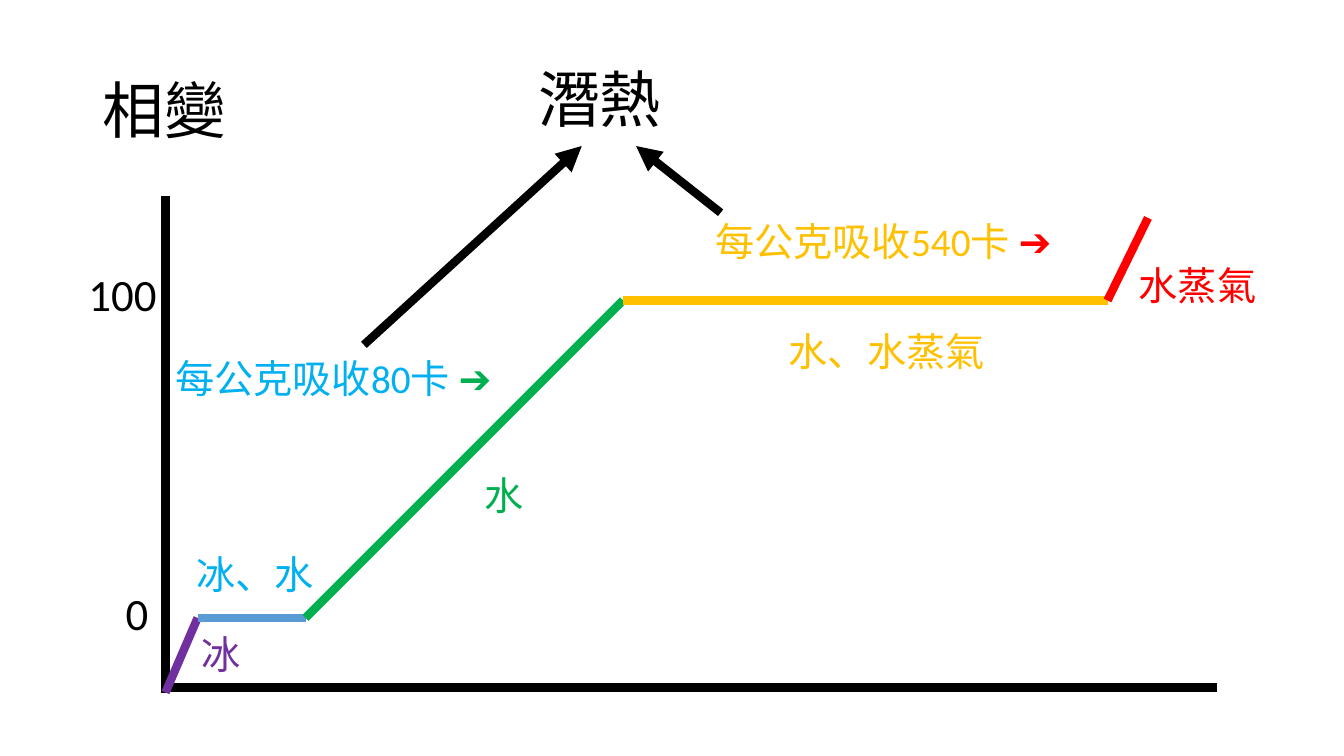
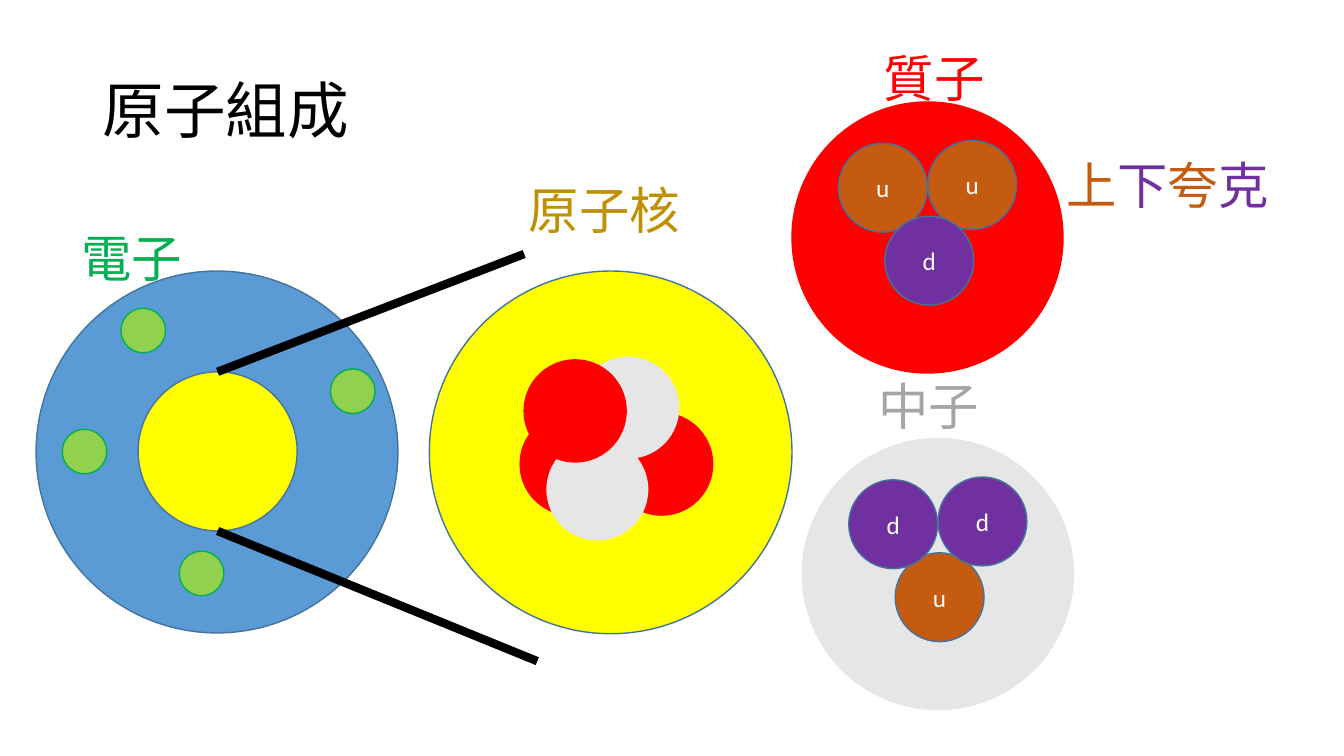
from itertools import pairwise

from lxml.etree import SubElement
from pptx import Presentation
from pptx.dml.color import RGBColor as RGB
from pptx.enum.shapes import MSO_CONNECTOR as Conn, MSO_SHAPE as Kind
from pptx.enum.text import MSO_ANCHOR as Anchor, PP_ALIGN as Align
from pptx.oxml.ns import qn
from pptx.util import Cm, Pt

FONT = "Calibri"
BLACK = RGB(0x00, 0x00, 0x00)
WHITE = RGB(0xFF, 0xFF, 0xFF)
PURPLE = RGB(0x70, 0x30, 0xA0)
BLUE = RGB(0x5B, 0x9B, 0xD5)
EDGE = RGB(0x43, 0x73, 0x9E)
SKY = RGB(0x00, 0xB0, 0xF0)
GREEN = RGB(0x00, 0xB0, 0x50)
LIME = RGB(0x92, 0xD0, 0x50)
GOLD = RGB(0xFF, 0xC0, 0x00)
OCHRE = RGB(0xBF, 0x90, 0x00)
YELLOW = RGB(0xFF, 0xFF, 0x00)
RED = RGB(0xFF, 0x00, 0x00)
BROWN = RGB(0xC5, 0x5A, 0x11)
SILVER = RGB(0xE7, 0xE6, 0xE6)
GREY = RGB(0xA5, 0xA5, 0xA5)

# Phase change: all lengths in cm
AXES = [((4.11, 17.32), (30.68, 17.32)), ((4.17, 17.45), (4.17, 4.93))]
CURVE = [(4.17, 17.45), (4.98, 15.57), (7.7, 15.57),
         (15.7, 7.57), (27.91, 7.57), (28.93, 5.49)]
STAGES = [PURPLE, BLUE, GREEN, GOLD, RED]
ARROWS = [((9.17, 8.69), (14.66, 3.68)), ((18.16, 5.36), (16.03, 3.68))]
# left, top, width, size, runs
NOTES = [
    (2.92, 14.63, 1.4, 32, [("0", BLACK)]),
    (1.98, 6.6, 2.46, 32, [("100", BLACK)]),
    (4.83, 15.75, 4.98, 28, [("冰", PURPLE)]),
    (4.7, 13.74, 4.98, 28, [("冰、水", SKY)]),
    (11.96, 11.76, 1.55, 28, [("水", GREEN)]),
    (19.63, 8.13, 5.69, 28, [("水、水蒸氣", GOLD)]),
    (28.45, 6.45, 5.69, 28, [("水蒸氣", RED)]),
    (17.78, 5.36, 9.4, 28, [("每公克吸收540卡 ", GOLD), ("➔", RED)]),
    (4.17, 8.81, 9.02, 28, [("每公克吸收80卡 ", SKY), ("➔", GREEN)]),
    (13.31, 1.42, 8.05, 44, [("潛熱", BLACK)]),
]

# Atom: left, top of each circle
ATOM_D, CORE_D, ZOOM_D = 9.12, 4.01, 9.14
ATOM, CORE, ZOOM = (0.91, 6.83), (3.48, 9.37), (10.82, 6.83)
TINY_D, GRAIN_D, BALL_D, QUARK_D = 1.12, 2.57, 6.83, 2.24
TINY = [(3.05, 7.77), (1.57, 10.82), (4.52, 13.89), (8.33, 9.3)]
GRAINS = [(13.11, 10.41, RED), (15.39, 10.41, RED), (14.55, 8.99, SILVER),
          (13.77, 11.05, SILVER), (13.21, 9.07, RED)]
RAYS = [(0, (13.21, 6.4)), (CORE_D, (13.54, 16.66))]
SLOTS = [(1.17, 1.04), (3.42, 0.97), (2.34, 2.88)]
QUARKS = {"u": BROWN, "d": PURPLE}
BALLS = [
    (19.96, 2.57, RED, [(0, "u"), (1, "u"), (2, "d")]),
    (20.22, 11.05, SILVER, [(2, "u"), (0, "d"), (1, "d")]),
]
NAMES = [
    (13.08, 4.39, [("原子核", OCHRE)]),
    (1.8, 5.59, [("電子", GREEN)]),
    (26.64, 3.76, [("上", BROWN), ("下", PURPLE), ("夸", BROWN), ("克", PURPLE)]),
    (21.89, 9.32, [("中子", GREY)]),
    (22.02, 1.07, [("質子", RED)]),
]


def write(frame, runs, size):
    para = frame.paragraphs[0]
    for text, color in runs:
        run = para.add_run()
        run.text = text
        run.font.name = FONT
        run.font.size = Pt(size)
        run.font.color.rgb = color
    return para


def label(slide, left, top, width, size, runs, height=1.6):
    box = slide.shapes.add_textbox(Cm(left), Cm(top), Cm(width), Cm(height))
    box.text_frame.word_wrap = True
    return box.text_frame, write(box.text_frame, runs, size)


def line(slide, start, end, color=BLACK, arrow=False):
    link = slide.shapes.add_connector(
        Conn.STRAIGHT, *(Cm(n) for n in (*start, *end)))
    link.line.color.rgb = color
    link.line.width = Pt(6)
    if arrow:
        SubElement(link.line._get_or_add_ln(), qn("a:tailEnd"), type="triangle")
    SubElement(link._element.spPr, qn("a:effectLst"))


def disc(slide, left, top, size, fill, edge=None):
    """Draw a circle, with no outline unless an edge colour is given."""
    dot = slide.shapes.add_shape(
        Kind.OVAL, Cm(left), Cm(top), Cm(size), Cm(size))
    dot.shadow.inherit = False
    dot.fill.solid()
    dot.fill.fore_color.rgb = fill
    if edge is None:
        dot.line.fill.background()
    else:
        dot.line.color.rgb = edge
        dot.line.width = Pt(1)
    return dot


def new_slide(deck, title):
    slide = deck.slides.add_slide(deck.slide_layouts[6])
    frame, para = label(slide, 2.34, 1.02, 29.21, 44, [(title, BLACK)], 3.68)
    frame.vertical_anchor = Anchor.MIDDLE
    para.line_spacing = 0.9
    return slide


def draw_phase(deck):
    slide = new_slide(deck, "相變")
    for start, end in AXES:
        line(slide, start, end)
    for (start, end), color in zip(pairwise(CURVE), STAGES):
        line(slide, start, end, color)
    for note in NOTES:
        label(slide, *note)
    for start, end in ARROWS:
        line(slide, start, end, arrow=True)


def draw_atom(deck):
    slide = new_slide(deck, "原子組成")
    disc(slide, *ATOM, ATOM_D, BLUE, EDGE)
    for spot in TINY:
        disc(slide, *spot, TINY_D, LIME, GREEN)
    disc(slide, *CORE, CORE_D, YELLOW, EDGE)
    disc(slide, *ZOOM, ZOOM_D, YELLOW, EDGE)
    for left, top, fill in GRAINS:
        disc(slide, left, top, GRAIN_D, fill, RED if fill == RED else None)
    for drop, end in RAYS:
        line(slide, (CORE[0] + CORE_D / 2, CORE[1] + drop), end)
    for left, top, fill, quarks in BALLS:
        disc(slide, left, top, BALL_D, fill, fill)
        for slot, name in quarks:
            dx, dy = SLOTS[slot]
            dot = disc(slide, left + dx, top + dy, QUARK_D, QUARKS[name], EDGE)
            dot.text_frame.vertical_anchor = Anchor.MIDDLE
            para = write(dot.text_frame, [(name, WHITE)], 18)
            para.alignment = Align.CENTER
    for left, top, runs in NAMES:
        label(slide, left, top, 6.81, 36, runs, 1.8)


def main():
    deck = Presentation()
    deck.slide_width, deck.slide_height = Cm(33.87), Cm(19.05)
    draw_phase(deck)
    draw_atom(deck)
    deck.save("out.pptx")


if __name__ == "__main__":
    main()
